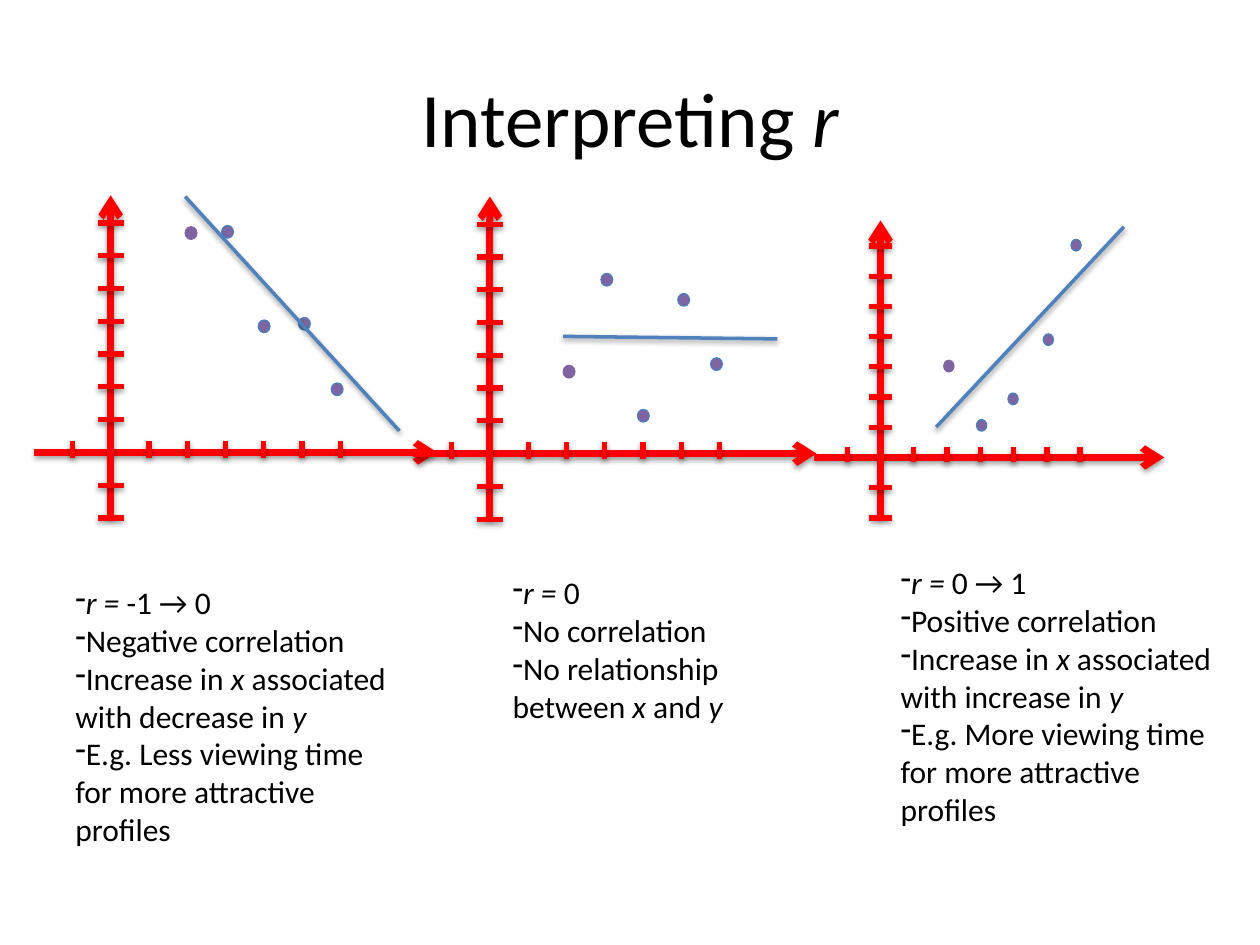
import lxml.etree
import pptx
import pptx.dml.color
import pptx.enum.shapes
import pptx.enum.text
import pptx.oxml.ns
import pptx.util

Inches = pptx.util.Inches
qn = pptx.oxml.ns.qn

# Each plot: box, dot corners and trend ends, in inches from the box corner
PLOTS = [
    ((0.27, 1.55, 3.2, 2.56),
     [(1.2, 0.25), (1.78, 0.99), (1.49, 0.24), (2.1, 0.97), (2.36, 1.49)],
     [(1.2, 0.01), (2.9, 1.87)]),
    ((3.28, 1.56, 3.2, 2.56),
     [(1.19, 1.34), (1.78, 1.69), (1.49, 0.61), (2.1, 0.77), (2.36, 1.28)],
     [(1.19, 1.11), (2.89, 1.13)]),
    ((6.46, 1.75, 2.78, 2.36),
     [(1.03, 1.11), (1.54, 1.37), (1.29, 1.58), (1.82, 0.9), (2.04, 0.15)],
     [(0.97, 1.64), (2.46, 0.05)]),
]

# Each note: box and lines; asterisks enclose italics
NOTES = [
    ((0.5, 4.58, 2.78, 2.52),
     ["*r = *-1 → 0", "Negative correlation",
      "Increase in *x* associated with decrease in *y*",
      "E.g. Less viewing time for more attractive profiles"]),
    ((3.97, 4.5, 2.78, 1.31),
     ["*r = *0", "No correlation", "No relationship between *x* and *y*"]),
    ((7.05, 4.42, 2.78, 2.52),
     ["*r = *0 → 1", "Positive correlation",
      "Increase in *x* associated with increase in *y*",
      "E.g. More viewing time for more attractive profiles"]),
]


def color(code):
    return pptx.dml.color.RGBColor.from_string(code)


def add_line(group, start, end, code, weight, arrow=False):
    """Draw a straight line with a soft shadow below it."""
    line = group.shapes.add_connector(
        pptx.enum.shapes.MSO_CONNECTOR.STRAIGHT,
        *(Inches(value) for value in (*start, *end)))
    line.line.color.rgb = color(code)
    line.line.width = pptx.util.Pt(weight)
    if arrow:
        lxml.etree.SubElement(line.line._get_or_add_ln(), qn("a:tailEnd"), type="arrow")
    effects = lxml.etree.SubElement(line._element.spPr, qn("a:effectLst"))
    shadow = lxml.etree.SubElement(
        effects, qn("a:outerShdw"), blurRad="40000", dist="20000",
        dir="5400000", rotWithShape="0")
    black = lxml.etree.SubElement(shadow, qn("a:srgbClr"), val="000000")
    lxml.etree.SubElement(black, qn("a:alpha"), val="38000")


def add_axes(group, box):
    left, top, width, height = box
    right, bottom = left + width, top + height
    origin_x, origin_y = left + 0.19 * width, top + 0.797 * height
    add_line(group, (left, origin_y), (right, origin_y), "FF0000", 4, arrow=True)
    add_line(group, (origin_x, bottom), (origin_x, top), "FF0000", 4, arrow=True)

    # Ticks on the horizontal axis, none at the origin
    for step in (-1, 1, 2, 3, 4, 5, 6):
        x = origin_x + step * 0.095 * width
        add_line(group, (x, origin_y + 0.016 * height),
                 (x, origin_y - 0.035 * height), "FF0000", 3)

    # Ticks on the vertical axis, none at the origin
    for step in (-2, -1, 1, 2, 3, 4, 5, 6, 7):
        y = origin_y - step * 0.1016 * height
        add_line(group, (origin_x - 0.032 * width, y),
                 (origin_x + 0.032 * width, y), "FF0000", 3)


def add_plot(page, box, dots, trend):
    left, top, width, height = box
    group = page.shapes.add_group_shape()
    add_axes(group, box)
    for index, (x, y) in enumerate(dots):
        dot = group.shapes.add_shape(
            pptx.enum.shapes.MSO_SHAPE.OVAL, Inches(left + x), Inches(top + y),
            Inches(0.029 * width), Inches(0.039 * height))
        dot.shadow.inherit = False
        dot.fill.solid()
        dot.fill.fore_color.rgb = color("8064A2")
        dot.line.color.rgb = color("4B7EBC" if index else "8064A2")
        dot.line.width = pptx.util.Pt(0.75)
    start, end = ((left + x, top + y) for x, y in trend)
    add_line(group, start, end, "4F81BD", 2)


def write_text(para, text, size):
    para.font.name = "Calibri"
    para.font.size = pptx.util.Pt(size)
    para.font.color.rgb = color("000000")
    for index, part in enumerate(text.split("*")):
        if part:
            span = para.add_run()
            span.text = part
            if index % 2:
                span.font.italic = True


def add_text_frame(page, box):
    frame = page.shapes.add_textbox(*(Inches(value) for value in box)).text_frame
    frame.word_wrap = True
    return frame


def add_title(page, box):
    frame = add_text_frame(page, box)
    frame.vertical_anchor = pptx.enum.text.MSO_ANCHOR.MIDDLE
    para = frame.paragraphs[0]
    para.alignment = pptx.enum.text.PP_ALIGN.CENTER
    write_text(para, "Interpreting *r*", 44)


def add_note(page, box, lines):
    frame = add_text_frame(page, box)
    frame.auto_size = pptx.enum.text.MSO_AUTO_SIZE.SHAPE_TO_FIT_TEXT
    for index, text in enumerate(lines):
        para = frame.add_paragraph() if index else frame.paragraphs[0]
        properties = para._p.get_or_add_pPr()
        properties.set("marL", "0")
        properties.set("indent", "0")
        lxml.etree.SubElement(properties, qn("a:buFontTx"))
        lxml.etree.SubElement(properties, qn("a:buChar"), char="-")
        write_text(para, text, 18)


def main():
    deck = pptx.Presentation()
    deck.slide_width, deck.slide_height = Inches(10), Inches(7.5)
    page = deck.slides.add_slide(deck.slide_layouts[6])
    add_title(page, (0.5, 0.3, 9, 1.25))
    for box, dots, trend in PLOTS:
        add_plot(page, box, dots, trend)
    for box, lines in NOTES:
        add_note(page, box, lines)
    deck.save("out.pptx")


if __name__ == "__main__":
    main()
